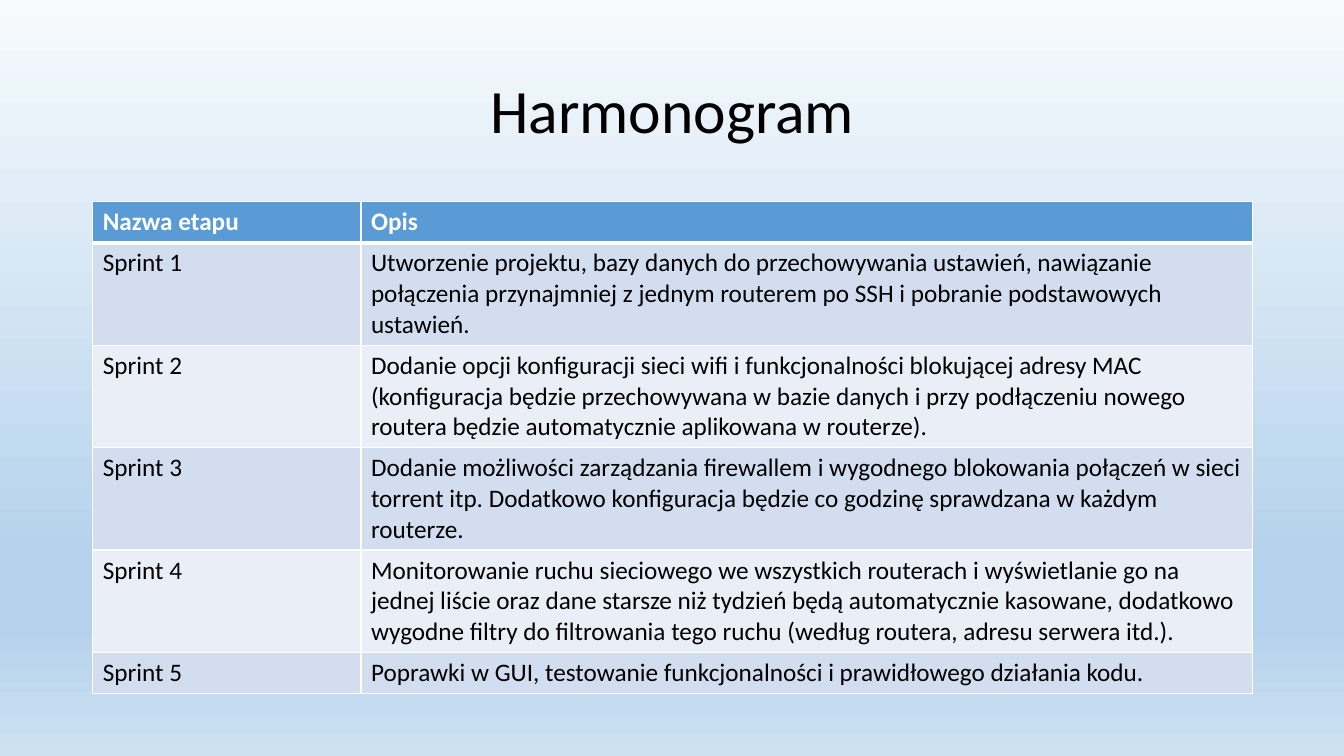
import dataclasses

import lxml.etree
import pptx
import pptx.dml.color
import pptx.enum.text
import pptx.oxml.ns
import pptx.slide
import pptx.table
import pptx.text.text
import pptx.util

Inches = pptx.util.Inches
Pt = pptx.util.Pt
RGBColor = pptx.dml.color.RGBColor
qn = pptx.oxml.ns.qn

BLACK = RGBColor(0x00, 0x00, 0x00)
WHITE = RGBColor(0xFF, 0xFF, 0xFF)
HEADER_BLUE = RGBColor(0x5B, 0x9B, 0xD5)
BANDS = (RGBColor(0xD2, 0xDE, 0xEF), RGBColor(0xEA, 0xEF, 0xF7))
SKY_STOPS = (
    (0, RGBColor(0xF7, 0xFA, 0xFD)),
    (74, RGBColor(0xB5, 0xD2, 0xEC)),
    (83, RGBColor(0xB5, 0xD2, 0xEC)),
    (100, RGBColor(0xCE, 0xE1, 0xF2)),
)
FONT = "Calibri"
LEFT, WIDTH = Inches(0.92), Inches(11.5)
COLUMN_WIDTHS = (Inches(2.66), Inches(8.84))
ROW_HEIGHT = Inches(0.41)
TABLE_HEIGHT = Inches(4.81)


@dataclasses.dataclass(frozen=True)
class Stage:
    name: str
    description: str


@dataclasses.dataclass(frozen=True)
class RowStyle:
    fill: RGBColor
    ink: RGBColor
    bold: bool
    top: float
    bottom: float


HEADER = Stage("Nazwa etapu", "Opis")
STAGES = (
    Stage("Sprint 1", "Utworzenie projektu, bazy danych do przechowywania ustawień, "
          "nawiązanie połączenia przynajmniej z jednym routerem po SSH i pobranie "
          "podstawowych ustawień."),
    Stage("Sprint 2", "Dodanie opcji konfiguracji sieci wifi i funkcjonalności "
          "blokującej adresy MAC (konfiguracja będzie przechowywana w bazie danych "
          "i przy podłączeniu nowego routera będzie automatycznie aplikowana w routerze)."),
    Stage("Sprint 3", "Dodanie możliwości zarządzania firewallem i wygodnego blokowania "
          "połączeń w sieci torrent itp. Dodatkowo konfiguracja będzie co godzinę "
          "sprawdzana w każdym routerze."),
    Stage("Sprint 4", "Monitorowanie ruchu sieciowego we wszystkich routerach i "
          "wyświetlanie go na jednej liście oraz dane starsze niż tydzień będą "
          "automatycznie kasowane, dodatkowo wygodne filtry do filtrowania tego ruchu "
          "(według routera, adresu serwera itd.)."),
    Stage("Sprint 5", "Poprawki w GUI, testowanie funkcjonalności i prawidłowego "
          "działania kodu."),
)


def add_span(para: pptx.text.text._Paragraph, text: str, size: int,
             color: RGBColor, bold: bool = False) -> None:
    span = para.add_run()
    span.text = text
    span.font.name = FONT
    span.font.size = Pt(size)
    span.font.bold = bold
    span.font.color.rgb = color


def paint_background(page: pptx.slide.Slide) -> None:
    fill = page.background.fill
    fill.gradient()
    fill.gradient_angle = 270
    stops = page.element.find(".//" + qn("a:gsLst"))
    for stop in list(stops):
        stops.remove(stop)
    for percent, color in SKY_STOPS:
        stop = lxml.etree.SubElement(stops, qn("a:gs"), pos=str(percent * 1000))
        lxml.etree.SubElement(stop, qn("a:srgbClr"), val=str(color))


def add_title(page: pptx.slide.Slide, text: str) -> None:
    title = page.shapes.title
    title.left, title.top = LEFT, Inches(0.4)
    title.width, title.height = WIDTH, Inches(1.45)
    title.text_frame.vertical_anchor = pptx.enum.text.MSO_ANCHOR.MIDDLE
    para = title.text_frame.paragraphs[0]
    para.alignment = pptx.enum.text.PP_ALIGN.CENTER
    para.line_spacing = 0.9
    add_span(para, text, 44, BLACK)


def set_borders(cell: pptx.table._Cell, style: RowStyle) -> None:
    properties = cell._tc.get_or_add_tcPr()
    edges = (("a:lnL", 1), ("a:lnR", 1), ("a:lnT", style.top), ("a:lnB", style.bottom))
    for index, (edge, points) in enumerate(edges):
        line = lxml.etree.Element(qn(edge), w=str(Pt(points)))
        solid = lxml.etree.SubElement(line, qn("a:solidFill"))
        lxml.etree.SubElement(solid, qn("a:srgbClr"), val=str(WHITE))
        properties.insert(index, line)


def fill_row(row: pptx.table._Row, stage: Stage, style: RowStyle) -> None:
    row.height = ROW_HEIGHT
    for cell, text in zip(row.cells, (stage.name, stage.description)):
        cell.fill.solid()
        cell.fill.fore_color.rgb = style.fill
        set_borders(cell, style)
        add_span(cell.text_frame.paragraphs[0], text, 18, style.ink, style.bold)


def add_schedule(page: pptx.slide.Slide) -> None:
    frame = page.shapes.add_table(len(STAGES) + 1, len(COLUMN_WIDTHS),
                                  LEFT, Inches(2), WIDTH, TABLE_HEIGHT)
    table = frame.table
    for column, width in zip(table.columns, COLUMN_WIDTHS):
        column.width = width
    fill_row(table.rows[0], HEADER, RowStyle(HEADER_BLUE, WHITE, True, 1, 3))
    for index, stage in enumerate(STAGES):
        style = RowStyle(BANDS[index % 2], BLACK, False, 1 if index else 3, 1)
        fill_row(table.rows[index + 1], stage, style)
    frame.height = TABLE_HEIGHT


def main() -> None:
    deck = pptx.Presentation()
    deck.slide_width, deck.slide_height = Inches(13.33), Inches(7.5)
    page = deck.slides.add_slide(deck.slide_layouts.get_by_name("Title Only"))
    paint_background(page)
    add_title(page, "Harmonogram")
    add_schedule(page)
    deck.save("out.pptx")


if __name__ == "__main__":
    main()
